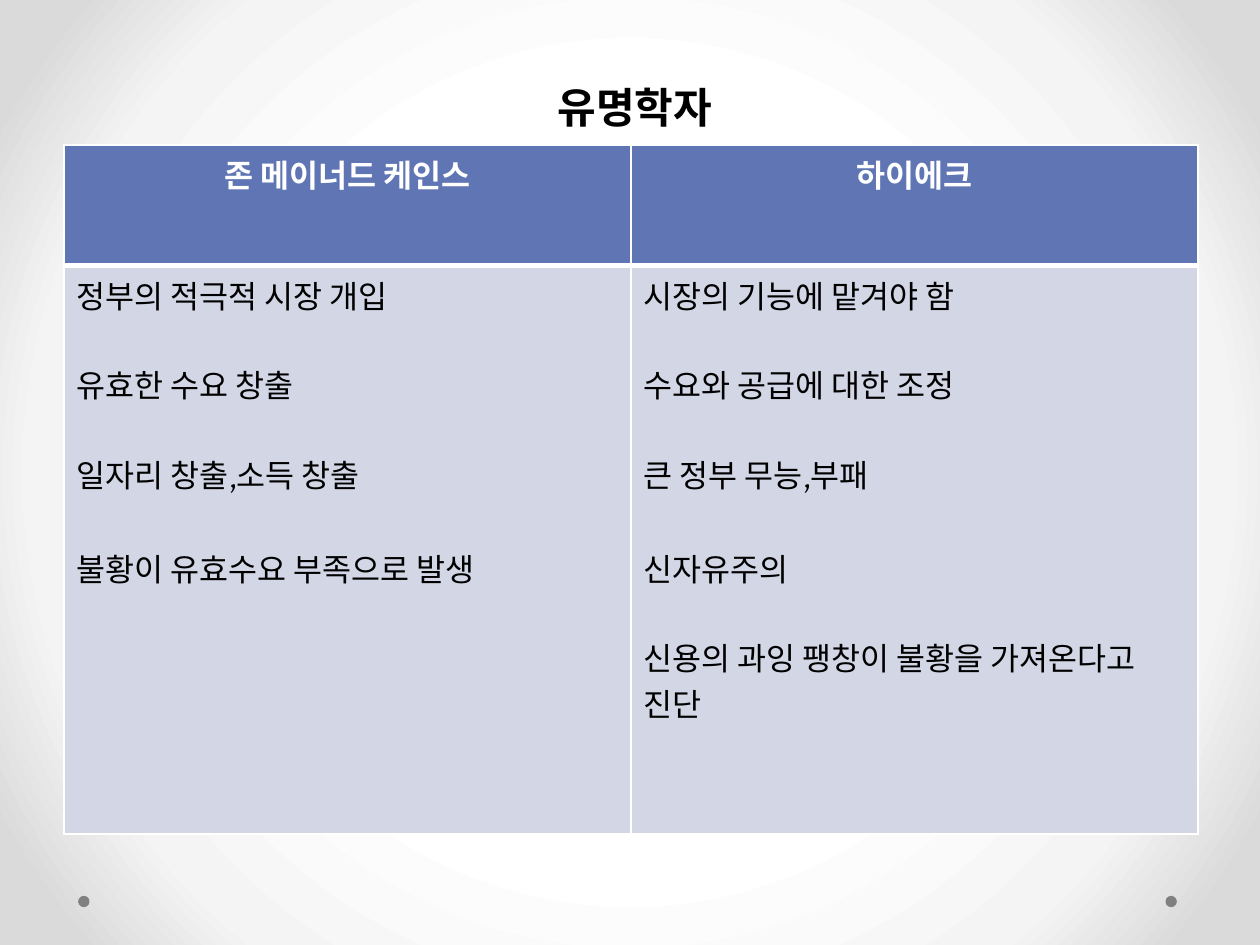
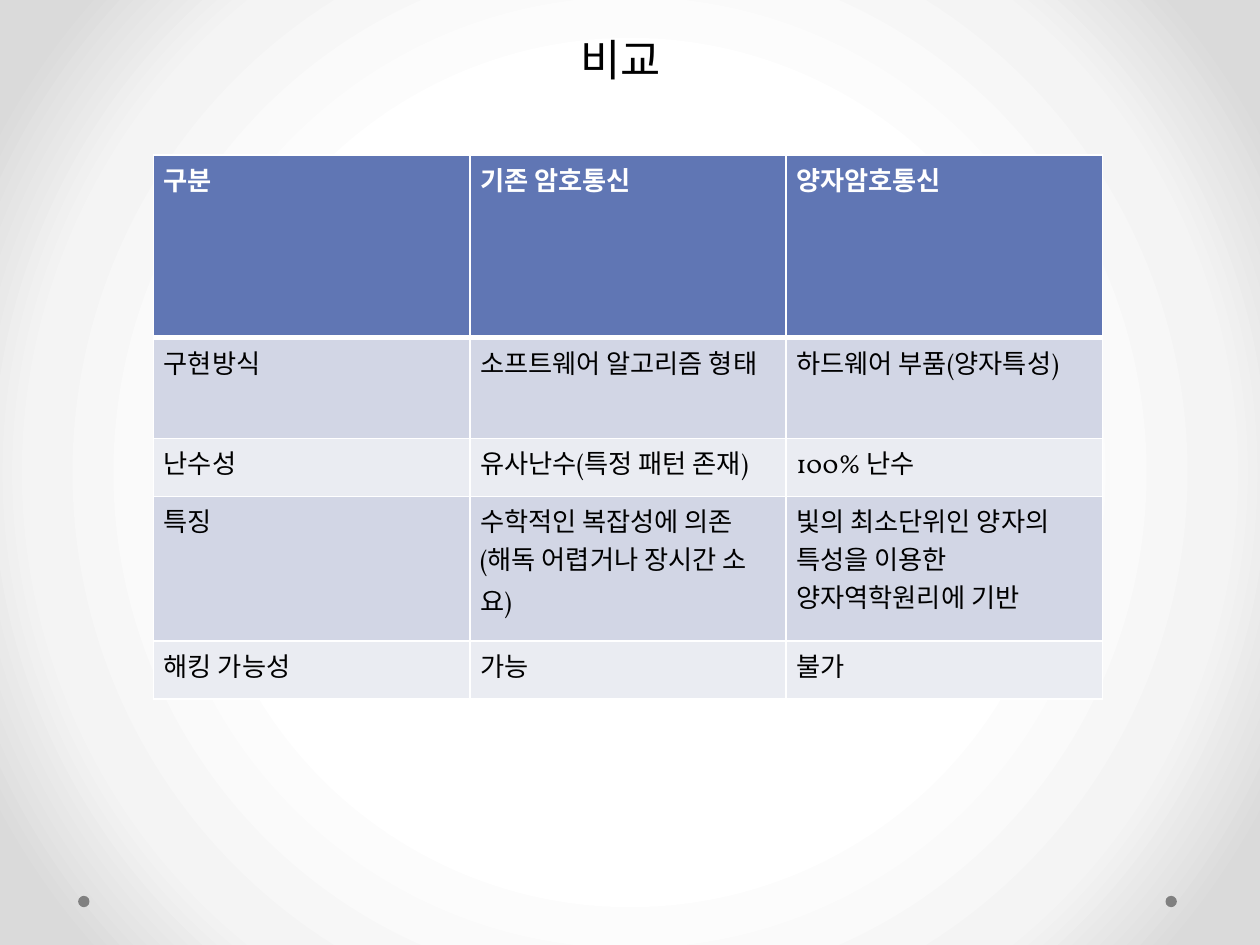
from lxml import etree
from pptx import Presentation
from pptx import util as u
from pptx.dml.color import RGBColor
from pptx.enum import shapes, text
from pptx.oxml.ns import qn

WIDTH, HEIGHT = u.Inches(10), u.Inches(7.5)
FONT = "Vollkorn"
COLORS = {
    "black": "000000",
    "white": "FFFFFF",
    "dot": "808080",
    "header": "6076B4",
    "band_dark": "D2D6E5",
    "band_light": "EAECF2",
}
GLOW = [(50, "FFFFFF"), (76, "F4F4F4"), (92, "DADADA")]

SCHOLARS = [
    ["존 메이너드 케인스", "하이에크"],
    [
        "정부의 적극적 시장 개입\n유효한 수요 창출\n일자리 창출,소득 창출\n"
        "불황이 유효수요 부족으로 발생",
        "시장의 기능에 맡겨야 함\n수요와 공급에 대한 조정\n큰 정부 무능,부패\n"
        "신자유주의\n신용의 과잉 팽창이 불황을 가져온다고 진단",
    ],
]
CRYPTOGRAPHY = [
    ["구분", "기존 암호통신", "양자암호통신"],
    ["구현방식", "소프트웨어 알고리즘 형태", "하드웨어 부품(양자특성)"],
    ["난수성", "유사난수(특정 패턴 존재)", "100% 난수"],
    [
        "특징",
        "수학적인 복잡성에 의존\n(해독 어렵거나 장시간 소요)",
        "빛의 최소단위인 양자의 특성을 이용한 양자역학원리에 기반",
    ],
    ["해킹 가능성", "가능", "불가"],
]


def across(percent):
    return u.Emu(round(WIDTH * percent / 100))


def down(percent):
    return u.Emu(round(HEIGHT * percent / 100))


def color(name):
    return RGBColor.from_string(COLORS[name])


def style(paragraph, size, color_name, bold, centered):
    paragraph.font.name = FONT
    paragraph.font.size = u.Pt(size)
    paragraph.font.bold = bold
    paragraph.font.color.rgb = color(color_name)
    paragraph.alignment = text.PP_ALIGN.CENTER if centered else text.PP_ALIGN.LEFT


def set_glow(master):
    master.background.fill.gradient()
    gradient = master.element.find(".//" + qn("a:gradFill"))
    for child in list(gradient):
        gradient.remove(child)
    stops = etree.SubElement(gradient, qn("a:gsLst"))
    for position, value in GLOW:
        stop = etree.SubElement(stops, qn("a:gs"), pos=str(position * 1000))
        etree.SubElement(stop, qn("a:srgbClr"), val=value)
    circle = etree.SubElement(gradient, qn("a:path"), path="circle")
    etree.SubElement(circle, qn("a:fillToRect"), l="50000", t="50000", r="50000", b="50000")


def add_dots(slide):
    for left in (92.5, 6.2):
        dot = slide.shapes.add_shape(
            shapes.MSO_SHAPE.OVAL, across(left), down(94.8), across(0.9), across(0.9)
        )
        dot.shadow.inherit = False
        dot.fill.solid()
        dot.fill.fore_color.rgb = color("dot")
        dot.line.fill.background()


def add_title(slide, title, left, top, width, size, bold):
    box = slide.shapes.add_textbox(across(left), down(top), across(width), down(6.8))
    box.text_frame.word_wrap = True
    box.text_frame.auto_size = text.MSO_AUTO_SIZE.SHAPE_TO_FIT_TEXT
    box.text_frame.text = title
    style(box.text_frame.paragraphs[0], size, "black", bold, True)


def set_borders(cell, bottom):
    properties = cell._tc.get_or_add_tcPr()
    for index, (side, points) in enumerate(zip("LRTB", (1, 1, 1, bottom))):
        line = etree.Element(qn(f"a:ln{side}"), w=str(u.Pt(points)))
        fill = etree.SubElement(line, qn("a:solidFill"))
        etree.SubElement(fill, qn("a:srgbClr"), val=COLORS["white"])
        properties.insert(index, line)


def fill_cell(cell, content, row, size, margins, centered_header, gap):
    header = row == 0
    cell.margin_left = cell.margin_right = u.Inches(margins[0])
    cell.margin_top = cell.margin_bottom = u.Inches(margins[1])
    cell.text = content
    for paragraph in cell.text_frame.paragraphs:
        style(paragraph, size, "white" if header else "black", header, header and centered_header)
        paragraph.space_after = u.Pt(gap)
    cell.fill.solid()
    band = "band_dark" if row % 2 else "band_light"
    cell.fill.fore_color.rgb = color("header" if header else band)
    set_borders(cell, 3 if header else 1)


def add_grid(slide, rows, left, top, width, heights, size, margins, centered_header=False, gap=0):
    columns = len(rows[0])
    frame = slide.shapes.add_table(
        len(rows), columns, across(left), down(top), across(width), down(sum(heights))
    )
    table = frame.table
    for column in table.columns:
        column.width = across(width / columns)
    for row, (contents, height) in enumerate(zip(rows, heights)):
        table.rows[row].height = down(height)
        for column, content in enumerate(contents):
            fill_cell(table.cell(row, column), content, row, size, margins, centered_header, gap)


def add_slide(presentation):
    slide = presentation.slides.add_slide(presentation.slide_layouts[6])
    add_dots(slide)
    return slide


def main():
    presentation = Presentation()
    presentation.slide_width, presentation.slide_height = WIDTH, HEIGHT
    set_glow(presentation.slide_master)

    slide = add_slide(presentation)
    add_grid(slide, SCHOLARS, 5.1, 15.33, 90, (12.8, 60.13), 18, (0.1, 0.05),
             centered_header=True, gap=25)
    add_title(slide, "유명학자", 25.6, 8, 49.6, 24, True)

    slide = add_slide(presentation)
    add_grid(slide, CRYPTOGRAPHY, 12.2, 16.4, 75.3, (19.33, 10.67, 6.13, 15.33, 6.13), 15,
             (0.08, 0.04))
    add_title(slide, "비교", 26.4, 2.8, 45.7, 25, False)

    presentation.save("out.pptx")


if __name__ == "__main__":
    main()
